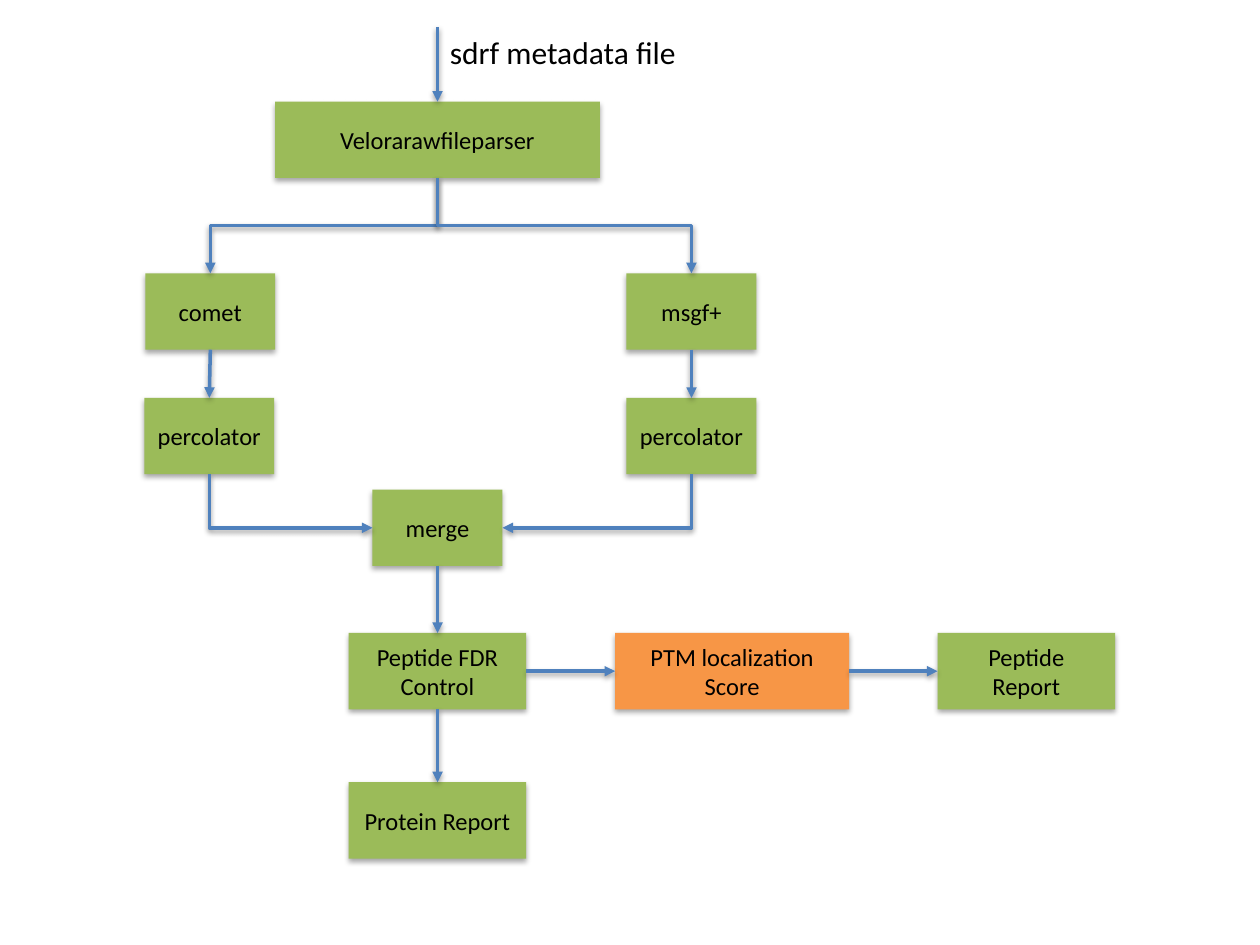
from dataclasses import dataclass

from lxml import etree
from pptx import Presentation
from pptx.dml.color import RGBColor
from pptx.enum.shapes import MSO_CONNECTOR, MSO_SHAPE
from pptx.enum.text import MSO_ANCHOR, PP_ALIGN
from pptx.oxml.ns import qn
from pptx.util import Cm, Pt

RECTANGLE = MSO_SHAPE.RECTANGLE
STRAIGHT, ELBOW = MSO_CONNECTOR.STRAIGHT, MSO_CONNECTOR.ELBOW
CENTER, MIDDLE = PP_ALIGN.CENTER, MSO_ANCHOR.MIDDLE

GREEN = RGBColor(0x9B, 0xBB, 0x59)
ORANGE = RGBColor(0xF7, 0x96, 0x46)
BLUE = RGBColor(0x4F, 0x81, 0xBD)
BLACK = RGBColor(0, 0, 0)
FONT = "Calibri"

# Connection sites of a rectangle
TOP, LEFT, BOTTOM, RIGHT = range(4)

BOX_HEIGHT = 1.54
NARROW, REGULAR = 2.62, 3.58
MAIN_X, RIGHT_X = 8.82, 13.94
REPORT_ROW = 12.76


@dataclass(frozen=True)
class Step:
    """A box of the workflow, in centimetres."""
    text: str
    center: float
    top: float
    width: float
    color: RGBColor = GREEN


@dataclass(frozen=True)
class Link:
    """An arrow between two steps."""
    start: str
    start_site: int
    end: str
    end_site: int
    bent: bool = False


STEPS = {
    "parser": Step("Velorarawfileparser", MAIN_X, 2.05, 6.55),
    "comet": Step("comet", 4.24, 5.51, NARROW),
    "msgf": Step("msgf+", RIGHT_X, 5.51, NARROW),
    "left percolator": Step("percolator", 4.22, 8.02, NARROW),
    "right percolator": Step("percolator", RIGHT_X, 8.02, NARROW),
    "merge": Step("merge", MAIN_X, 9.87, NARROW),
    "control": Step("Peptide FDR Control", MAIN_X, REPORT_ROW, REGULAR),
    "score": Step("PTM localization Score", 14.76, REPORT_ROW, 4.72, ORANGE),
    "peptide": Step("Peptide\nReport", 20.69, REPORT_ROW, REGULAR),
    "protein": Step("Protein Report", MAIN_X, 15.77, REGULAR),
}

LINKS = [
    Link("parser", BOTTOM, "comet", TOP, bent=True),
    Link("parser", BOTTOM, "msgf", TOP, bent=True),
    Link("comet", BOTTOM, "left percolator", TOP),
    Link("msgf", BOTTOM, "right percolator", TOP),
    Link("left percolator", BOTTOM, "merge", LEFT, bent=True),
    Link("right percolator", BOTTOM, "merge", RIGHT, bent=True),
    Link("merge", BOTTOM, "control", TOP),
    Link("control", RIGHT, "score", LEFT),
    Link("score", RIGHT, "peptide", LEFT),
    Link("control", BOTTOM, "protein", TOP),
]


def add_shadow(shape, distance: int, opacity: int) -> None:
    """Give a shape or connector a soft shadow straight below it."""
    effects = etree.SubElement(shape._element.spPr, qn("a:effectLst"))
    shadow = etree.SubElement(effects, qn("a:outerShdw"), blurRad="40000",
                              dist=str(distance), dir="5400000", rotWithShape="0")
    color = etree.SubElement(shadow, qn("a:srgbClr"), val=str(BLACK))
    etree.SubElement(color, qn("a:alpha"), val=str(opacity * 1000))


def style_text(text_frame, size: int) -> None:
    """Set the font of every paragraph."""
    for paragraph in text_frame.paragraphs:
        paragraph.font.name = FONT
        paragraph.font.size = Pt(size)
        paragraph.font.color.rgb = BLACK


def add_step(slide, step: Step):
    """Draw one workflow box and return it."""
    shape = slide.shapes.add_shape(RECTANGLE, Cm(step.center - step.width / 2),
                                   Cm(step.top), Cm(step.width), Cm(BOX_HEIGHT))
    shape.fill.solid()
    shape.fill.fore_color.rgb = step.color
    shape.line.fill.background()
    add_shadow(shape, 23000, 35)
    text_frame = shape.text_frame
    text_frame.text = step.text
    text_frame.word_wrap = True
    text_frame.vertical_anchor = MIDDLE
    style_text(text_frame, 14)
    for paragraph in text_frame.paragraphs:
        paragraph.alignment = CENTER
    return shape


def style_arrow(connector) -> None:
    """Set line, arrowhead and shadow of an arrow."""
    connector.line.color.rgb = BLUE
    connector.line.width = Pt(2)
    etree.SubElement(connector.line._get_or_add_ln(), qn("a:tailEnd"), type="triangle")
    add_shadow(connector, 20000, 38)


def turn_elbow(connector, one_corner: bool) -> None:
    """Turn an elbow so that it leaves its first box downwards."""
    run = connector.end_x - connector.begin_x
    drop = connector.end_y - connector.begin_y
    center_x = (connector.begin_x + connector.end_x) // 2
    center_y = (connector.begin_y + connector.end_y) // 2
    properties = connector._element.spPr
    frame = properties.find(qn("a:xfrm"))
    frame.attrib.clear()
    frame.set("rot", "16200000" if run > 0 else "5400000")
    if run > 0:
        frame.set("flipH", "1")
    connector.width, connector.height = drop, abs(run)
    connector.left = center_x - drop // 2
    connector.top = center_y - abs(run) // 2
    if one_corner:
        properties.find(qn("a:prstGeom")).set("prst", "bentConnector2")


def add_link(slide, link: Link, boxes: dict) -> None:
    """Draw an arrow glued to two boxes."""
    connector = slide.shapes.add_connector(ELBOW if link.bent else STRAIGHT, 0, 0, 0, 0)
    connector.begin_connect(boxes[link.start], link.start_site)
    connector.end_connect(boxes[link.end], link.end_site)
    if link.bent:
        turn_elbow(connector, one_corner=link.end_site != TOP)
    style_arrow(connector)


def add_input(slide, parser) -> None:
    """Draw the incoming arrow and its label."""
    start = Cm(0.54)
    connector = slide.shapes.add_connector(STRAIGHT, Cm(MAIN_X), start,
                                           Cm(MAIN_X), parser.top)
    connector.end_connect(parser, TOP)
    style_arrow(connector)
    label = slide.shapes.add_textbox(Cm(MAIN_X), start, Cm(5.13), Cm(1.03))
    label.text_frame.text = "sdrf metadata file"
    label.text_frame.word_wrap = False
    style_text(label.text_frame, 18)


def main() -> None:
    """Build the workflow slide."""
    presentation = Presentation()
    presentation.slide_width, presentation.slide_height = Cm(25.4), Cm(19.05)
    slide = presentation.slides.add_slide(presentation.slide_layouts[6])
    boxes = {name: add_step(slide, step) for name, step in STEPS.items()}
    add_input(slide, boxes["parser"])
    for link in LINKS:
        add_link(slide, link, boxes)
    presentation.save("out.pptx")


main()
